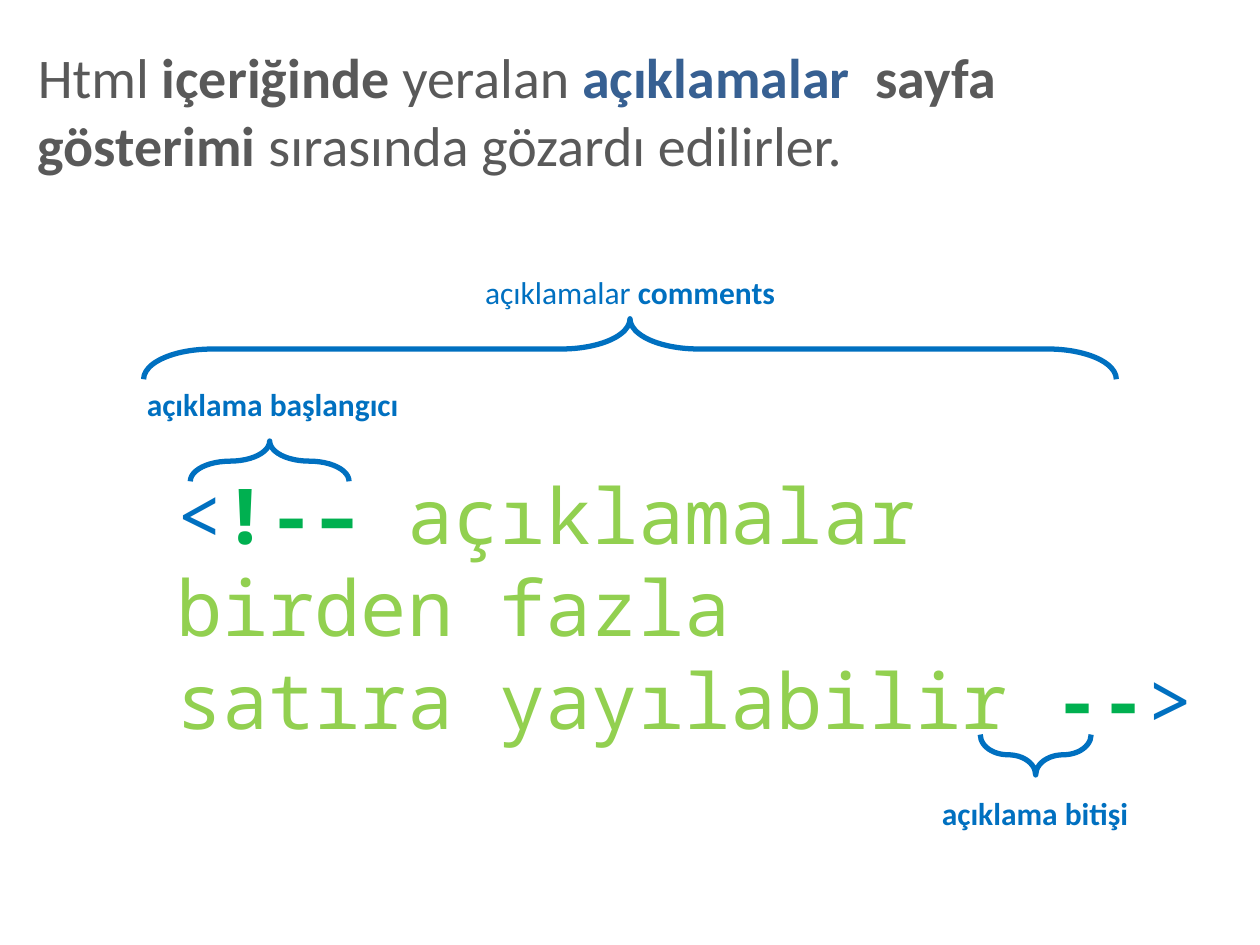
from dataclasses import dataclass

from pptx import Presentation
from pptx.dml.color import RGBColor
from pptx.enum.shapes import MSO_SHAPE
from pptx.enum.text import MSO_ANCHOR, MSO_AUTO_SIZE, PP_ALIGN
from pptx.slide import Slide
from pptx.text.text import TextFrame, _Paragraph as Paragraph
from pptx.util import Inches, Pt


@dataclass(frozen=True)
class Theme:
    """Colours, fonts and sizes of the slide."""
    grey: str = "595959"
    navy: str = "376092"
    blue: str = "0070C0"
    green: str = "00B050"
    lime: str = "92D050"
    text_font: str = "Calibri"
    code_font: str = "Noto Sans Mono"
    title_size: int = 32
    code_size: int = 44
    label_size: int = 18
    brace_width: int = 3


@dataclass(frozen=True)
class Piece:
    """A stretch of text in one colour and weight."""
    text: str
    color: str
    bold: bool = False


@dataclass(frozen=True)
class Box:
    """A place on the slide, in inches."""
    left: float
    top: float
    width: float
    height: float

    def lengths(self) -> list[Inches]:
        """Return the place as lengths."""
        return [Inches(n) for n in (self.left, self.top, self.width, self.height)]


@dataclass(frozen=True)
class Callout:
    """A label with the turned brace it belongs to."""
    label_box: Box
    pieces: list[Piece]
    brace_box: Box
    rotation: int


THEME = Theme()
TITLE = [
    Piece("Html ", THEME.grey),
    Piece("içeriğinde ", THEME.grey, True),
    Piece("yeralan ", THEME.grey),
    Piece("açıklamalar  ", THEME.navy, True),
    Piece("sayfa gösterimi", THEME.grey, True),
    Piece(" sırasında gözardı edilirler.", THEME.grey),
]
CODE = [
    [Piece("<", THEME.blue), Piece("!-– ", THEME.green, True),
     Piece("açıklamalar", THEME.lime)],
    [Piece("birden fazla ", THEME.lime)],
    [Piece("satıra yayılabilir ", THEME.lime), Piece("--", THEME.green, True),
     Piece(">", THEME.blue)],
]
CALLOUTS = [
    Callout(Box(3.74, 2.12, 2.52, 0.4),
            [Piece("açıklamalar ", THEME.blue), Piece("comments", THEME.blue, True)],
            Box(4.76, -1.09, 0.48, 7.72), 90),
    Callout(Box(1.06, 3.01, 2.21, 0.4),
            [Piece("açıklama başlangıcı", THEME.blue, True)],
            Box(1.98, 3.03, 0.32, 1.26), 90),
    Callout(Box(7.37, 6.25, 1.69, 0.4),
            [Piece("açıklama bitişi", THEME.blue, True)],
            Box(8.06, 5.55, 0.32, 0.88), 270),
]


def write(paragraph: Paragraph, pieces: list[Piece], font_name: str, size: int,
          alignment: PP_ALIGN) -> None:
    """Fill a paragraph with formatted pieces."""
    paragraph.alignment = alignment
    for piece in pieces:
        run = paragraph.add_run()
        run.text = piece.text
        run.font.name = font_name
        run.font.size = Pt(size)
        run.font.bold = piece.bold
        run.font.color.rgb = RGBColor.from_string(piece.color)


def add_text_frame(slide: Slide, box: Box, wrap: bool) -> TextFrame:
    """Add a text box and return its text frame."""
    text_frame = slide.shapes.add_textbox(*box.lengths()).text_frame
    text_frame.word_wrap = wrap
    return text_frame


def add_title(slide: Slide) -> None:
    """Place and fill the title placeholder."""
    title = slide.shapes.title
    title.left, title.top, title.width, title.height = Box(0.2, 0.29, 9.49, 1.72).lengths()
    text_frame = title.text_frame
    text_frame.vertical_anchor = MSO_ANCHOR.TOP
    text_frame.auto_size = MSO_AUTO_SIZE.NONE
    write(text_frame.paragraphs[0], TITLE, THEME.text_font, THEME.title_size, PP_ALIGN.LEFT)


def add_code(slide: Slide) -> None:
    """Add the sample comment, one paragraph a line."""
    text_frame = add_text_frame(slide, Box(1.3, 3.66, 8.38, 2.32), True)
    for index, pieces in enumerate(CODE):
        paragraph = text_frame.add_paragraph() if index else text_frame.paragraphs[0]
        write(paragraph, pieces, THEME.code_font, THEME.code_size, PP_ALIGN.JUSTIFY)


def add_callout(slide: Slide, callout: Callout) -> None:
    """Add a brace and its label."""
    brace = slide.shapes.add_shape(MSO_SHAPE.LEFT_BRACE, *callout.brace_box.lengths())
    brace.rotation = callout.rotation
    brace.adjustments[0] = 1.134
    brace.shadow.inherit = False
    brace.fill.background()
    brace.line.color.rgb = RGBColor.from_string(THEME.blue)
    brace.line.width = Pt(THEME.brace_width)
    text_frame = add_text_frame(slide, callout.label_box, False)
    write(text_frame.paragraphs[0], callout.pieces, THEME.text_font, THEME.label_size,
          PP_ALIGN.CENTER)


def main() -> None:
    """Build and save the slide."""
    presentation = Presentation()
    presentation.slide_width = Inches(10)
    presentation.slide_height = Inches(7.5)
    slide = presentation.slides.add_slide(presentation.slide_layouts[5])
    add_title(slide)
    add_code(slide)
    for callout in CALLOUTS:
        add_callout(slide, callout)
    presentation.save("out.pptx")


main()
